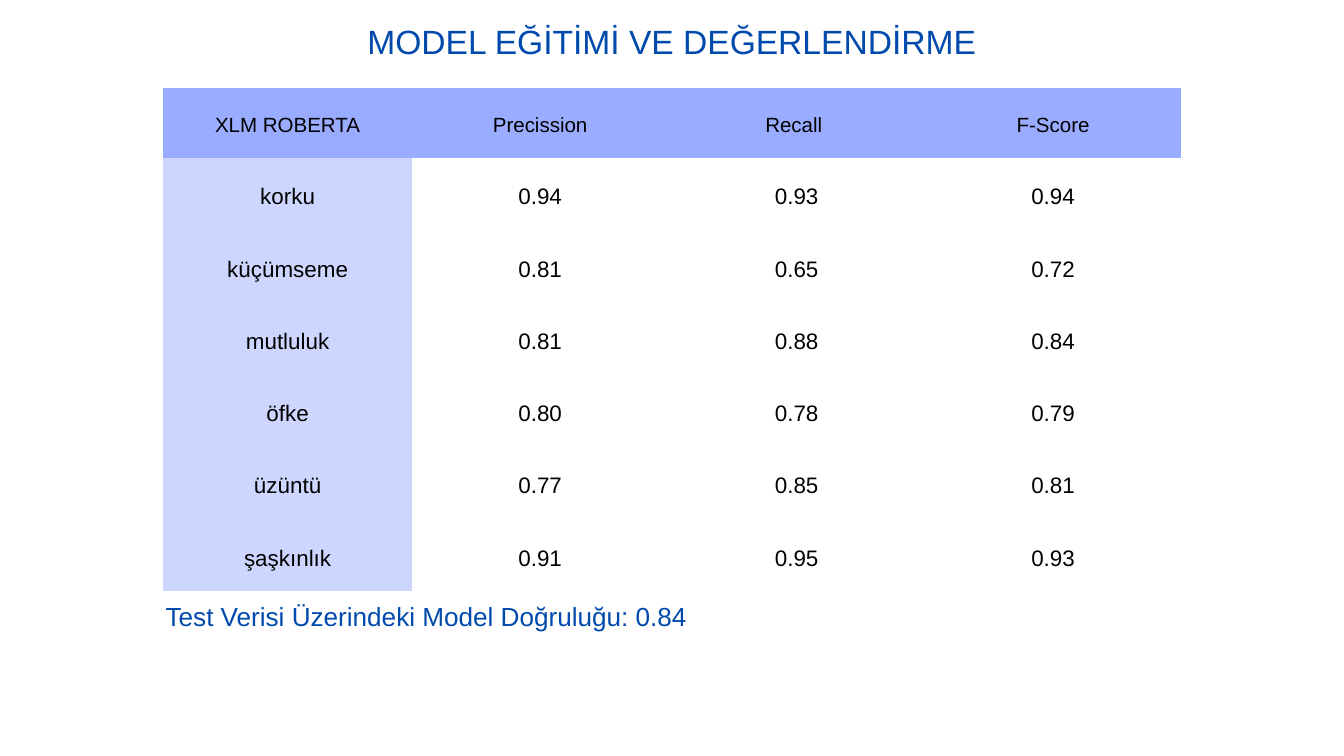
import pptx
import pptx.dml.color
import pptx.enum.text
import pptx.util

Inches = pptx.util.Inches
Pt = pptx.util.Pt

BLUE = "004AAD"
BLACK = "000000"
HEADER_FILL = "99ACFF"
LABEL_FILL = "CDD6FF"
WHITE = "FFFFFF"
PLAIN_TABLE_STYLE = "{2D5ABB26-0587-4C30-8999-92F81FD0307C}"

SCORES = [
    ("XLM ROBERTA", "Precission", "Recall ", "F-Score"),
    ("korku", "0.94", "0.93", "0.94"),
    ("küçümseme", "0.81", "0.65", "0.72"),
    ("mutluluk", "0.81", "0.88", "0.84"),
    ("öfke", "0.80", "0.78", "0.79"),
    ("üzüntü", "0.77", "0.85", "0.81"),
    ("şaşkınlık", "0.91", "0.95", "0.93"),
]


def rgb(value):
    """Return the colour for a hex string."""
    return pptx.dml.color.RGBColor.from_string(value)


def write_text(frame, text, size, color):
    """Fill a text frame with one centred paragraph."""
    frame.text = text
    para = frame.paragraphs[0]
    para.alignment = pptx.enum.text.PP_ALIGN.CENTER
    para.line_spacing = Pt(size * 1.4)
    para.space_before = Pt(0)
    para.font.name = "Arial"
    para.font.size = Pt(size)
    para.font.bold = False
    para.font.color.rgb = rgb(color)


def format_line(shape, left, top, width, height, text, size):
    """Place a text shape without margins and write its blue line."""
    shape.left, shape.top = Inches(left), Inches(top)
    shape.width, shape.height = Inches(width), Inches(height)
    frame = shape.text_frame
    frame.margin_left = frame.margin_right = 0
    frame.margin_top = frame.margin_bottom = 0
    frame.word_wrap = True
    frame.vertical_anchor = pptx.enum.text.MSO_ANCHOR.TOP
    frame.auto_size = pptx.enum.text.MSO_AUTO_SIZE.SHAPE_TO_FIT_TEXT
    write_text(frame, text, size, BLUE)


def format_cell(cell, text, size, fill):
    """Write and colour one table cell."""
    cell.margin_left = cell.margin_right = Inches(0.21)
    cell.margin_top = cell.margin_bottom = Inches(0.21)
    cell.vertical_anchor = pptx.enum.text.MSO_ANCHOR.MIDDLE
    cell.fill.solid()
    cell.fill.fore_color.rgb = rgb(fill)
    write_text(cell.text_frame, text, size, BLACK)


def add_score_table(page, left, top, width, height):
    """Add the table of scores by emotion."""
    label_width, header_height = 3.7, 1.04
    box = page.shapes.add_table(
        len(SCORES), len(SCORES[0]),
        Inches(left), Inches(top), Inches(width), Inches(height))
    table = box.table
    table.first_row = table.horz_banding = False
    table._tbl.tblPr.find(pptx.oxml.ns.qn("a:tableStyleId")).text = PLAIN_TABLE_STYLE
    score_width = (width - label_width) / (len(SCORES[0]) - 1)
    score_height = (height - header_height) / (len(SCORES) - 1)
    for index, column in enumerate(table.columns):
        column.width = Inches(score_width if index else label_width)
    for index, row in enumerate(table.rows):
        row.height = Inches(score_height if index else header_height)
        for position, text in enumerate(SCORES[index]):
            if index == 0:
                size, fill = 22, HEADER_FILL
            else:
                size, fill = 24, WHITE if position else LABEL_FILL
            format_cell(table.cell(index, position), text, size, fill)


def build_page(deck):
    """Add the model evaluation slide."""
    page = deck.slides.add_slide(deck.slide_layouts[5])
    page.background.fill.solid()
    page.background.fill.fore_color.rgb = rgb(WHITE)
    add_score_table(page, 2.43, 1.31, 15.15, 7.49)
    format_line(page.shapes.title, 5.14, 0.21, 9.72, 0.66,
                "MODEL EĞİTİMİ VE DEĞERLENDİRME", 36)
    accuracy = page.shapes.add_textbox(0, 0, 0, 0)
    format_line(accuracy, 2.43, 8.85, 7.82, 0.58,
                "Test Verisi Üzerindeki Model Doğruluğu: 0.84", 28)


def main():
    """Build and save the deck."""
    deck = pptx.Presentation()
    deck.slide_width, deck.slide_height = Inches(20), Inches(11.25)
    build_page(deck)
    deck.save("out.pptx")


if __name__ == "__main__":
    main()
